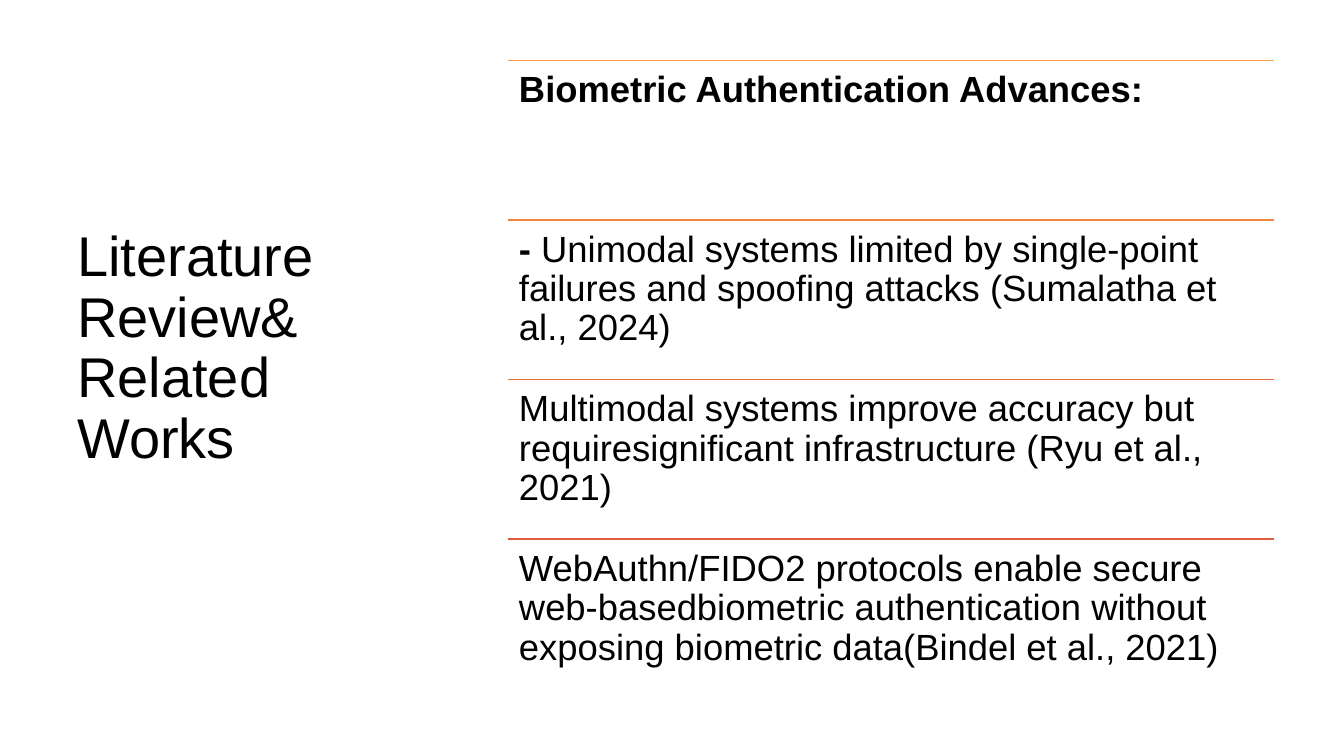
from dataclasses import dataclass

from lxml.etree import SubElement
from pptx import Presentation
from pptx.dml.color import RGBColor as RGB
from pptx.enum.shapes import MSO_CONNECTOR as CONN
from pptx.enum.text import MSO_ANCHOR as ANCHOR, MSO_AUTO_SIZE as FIT, PP_ALIGN as ALIGN
from pptx.oxml.ns import qn
from pptx.util import Cm, Pt


@dataclass(frozen=True)
class Theme:
    font: str = "Arial"
    text: str = "000000"
    rules: tuple = ("FA9A42", "F28440", "EA6F3E", "E15C3D")
    title_size: int = 40
    body_size: int = 26
    rule_width: int = 1
    line_spacing: float = 0.9


ROWS = [
    [("Biometric Authentication Advances:", True)],
    [("-", True), (" Unimodal systems limited by single-point failures and spoofing attacks "
                   "(Sumalatha et al., 2024)", False)],
    [("Multimodal systems improve accuracy but requiresignificant infrastructure "
      "(Ryu et al., 2021)", False)],
    [("WebAuthn/FIDO2 protocols enable secure web-basedbiometric authentication without "
      "exposing biometric data(Bindel et al., 2021)", False)],
]


def add_run(p, text, *, font, size, color, bold=False):
    r = p.add_run()
    r.text = text
    r.font.name = font
    r.font.size = Pt(size)
    r.font.bold = bold
    r.font.color.rgb = RGB.from_string(color)


class SlideBuilder:
    """Draws themed elements on one slide."""

    def __init__(self, slide, theme):
        self.s = slide
        self.theme = theme

    def fill_frame(self, tf, runs, size, anchor, margins):
        tf.word_wrap = True
        tf.auto_size = FIT.NONE
        tf.vertical_anchor = anchor
        tf.margin_left, tf.margin_top, tf.margin_right, tf.margin_bottom = map(Cm, margins)
        p = tf.paragraphs[0]
        p.alignment = ALIGN.LEFT
        p.line_spacing = self.theme.line_spacing
        for text, bold in runs:
            add_run(p, text, font=self.theme.font, size=size,
                    color=self.theme.text, bold=bold)

    def title(self, text, left, top, width, height):
        sp = self.s.shapes.title
        sp.left, sp.top, sp.width, sp.height = map(Cm, (left, top, width, height))
        self.fill_frame(sp.text_frame, [(text, False)], self.theme.title_size,
                        ANCHOR.MIDDLE, (0.25, 0.13, 0.5, 1.65))

    def rule(self, left, top, width, color):
        line = self.s.shapes.add_connector(
            CONN.STRAIGHT, Cm(left), Cm(top), Cm(left + width), Cm(top))
        line.line.color.rgb = RGB.from_string(color)
        line.line.width = Pt(self.theme.rule_width)
        SubElement(line._element.spPr, qn("a:effectLst"))

    def text(self, runs, left, top, width, height):
        sp = self.s.shapes.add_textbox(*map(Cm, (left, top, width, height)))
        self.fill_frame(sp.text_frame, runs, self.theme.body_size, ANCHOR.TOP, (0.28,) * 4)


def main():
    prs = Presentation()
    prs.slide_width, prs.slide_height = Cm(33.87), Cm(19.05)
    theme = Theme()
    builder = SlideBuilder(prs.slides.add_slide(prs.slide_layouts[5]), theme)

    top, height = 1.52, 16.08
    builder.title("Literature Review& Related Works", 1.7, top, 9.7, height)

    left, width, row_height = 12.8, 19.3, height / len(ROWS)
    for i, (runs, color) in enumerate(zip(ROWS, theme.rules)):
        y = top + i * row_height
        builder.rule(left, y, width, color)
        builder.text(runs, left, y, width, row_height)

    prs.save("out.pptx")


if __name__ == "__main__":
    main()
